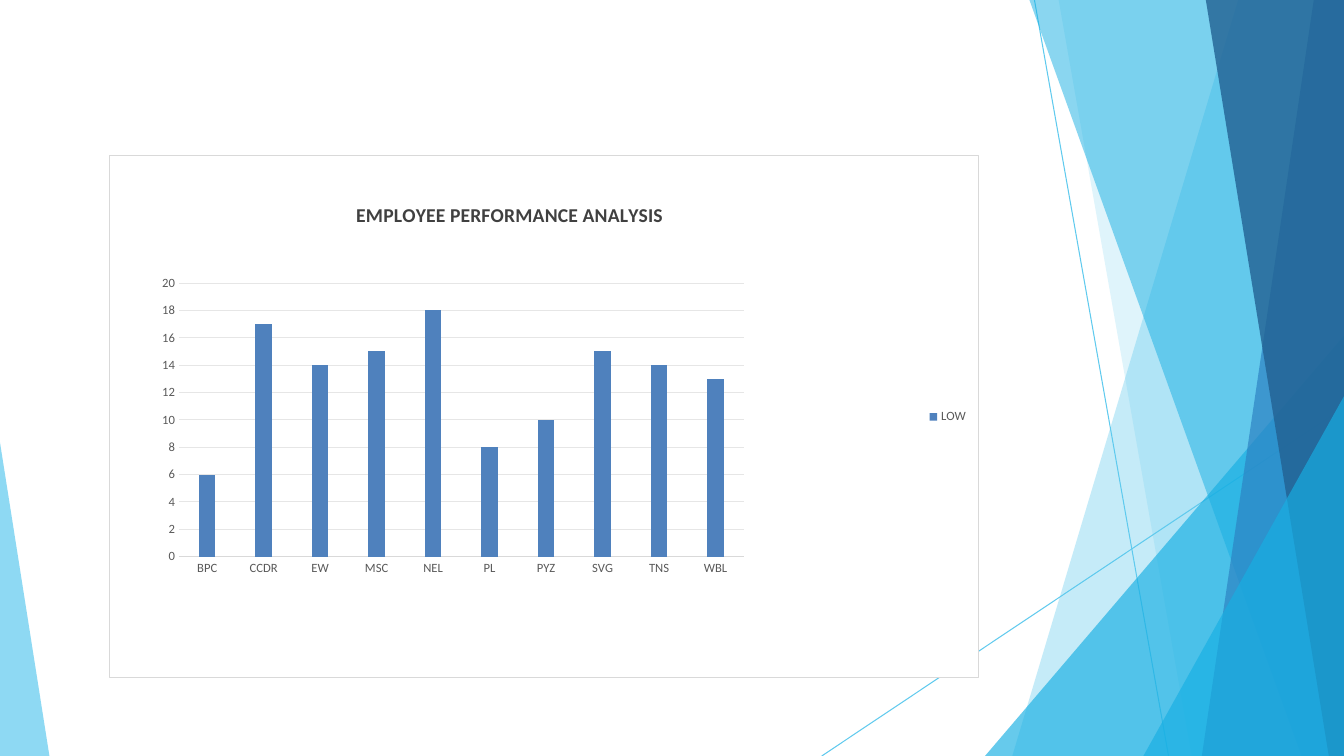
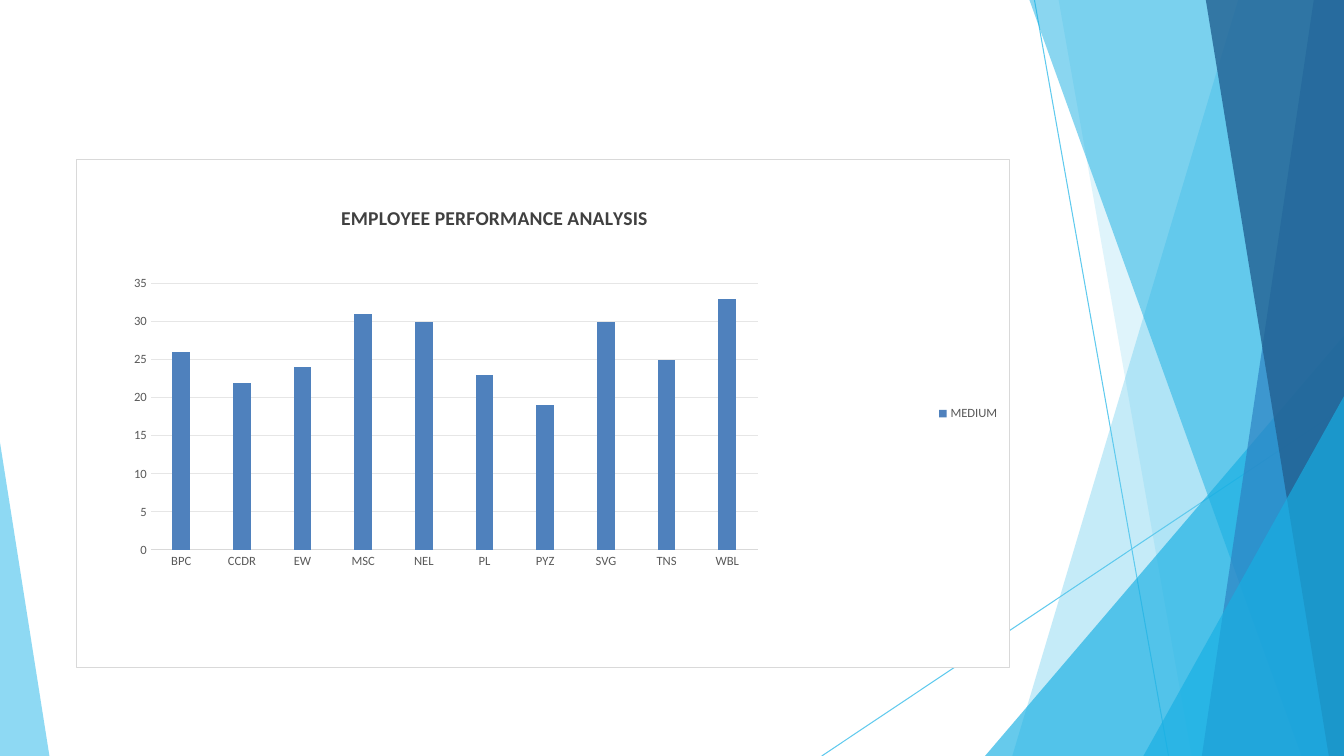
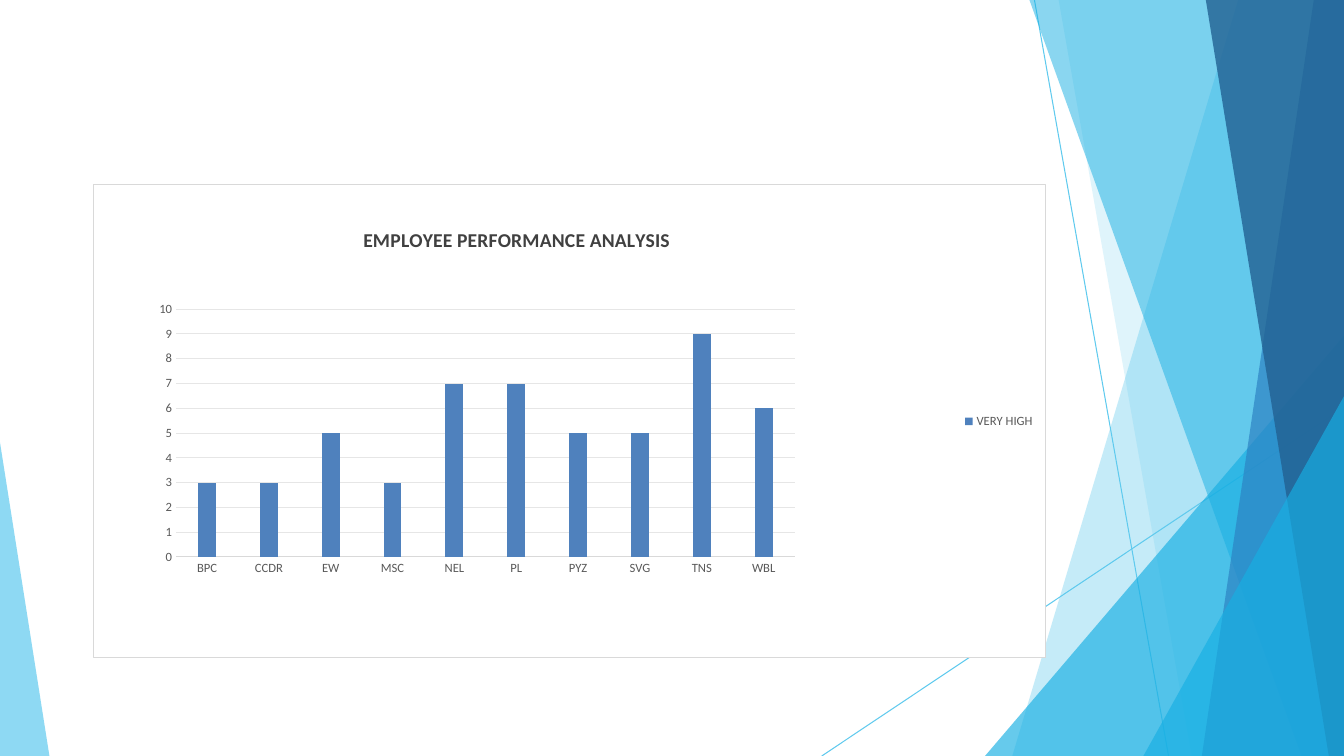
from lxml import etree
from pptx import Presentation
from pptx.chart.data import CategoryChartData
from pptx.dml.color import RGBColor
from pptx.enum import chart as kinds, shapes
from pptx.oxml import ns
from pptx.util import Inches, Pt

WIDTH, HEIGHT = 13.33, 7.5
FONT = "Calibri"
COLOURS = {
    "sky": "5FCAEE", "cyan": "17AFE3", "blue": "2D83C3", "navy": "226192",
    "bar": "4F81BD", "white": "FFFFFF", "frame": "D9D9D9", "grid": "E6E6E6",
    "label": "595959", "title": "404040", "black": "000000",
}
HEADING = "EMPLOYEE PERFORMANCE ANALYSIS"
UNITS = ["BPC", "CCDR", "EW", "MSC", "NEL", "PL", "PYZ", "SVG", "TNS", "WBL"]

# Background lines: start and end
RAYS = [((10.26, 0), (11.59, HEIGHT)), ((WIDTH, 4.04), (8.15, HEIGHT))]

# Background facets: colour, opacity in percent, corners
TOP_RIGHT, BOTTOM_RIGHT = (WIDTH, 0), (WIDTH, HEIGHT)
FACETS = [
    ("sky", 36, [TOP_RIGHT, (12.28, 0), (10.04, HEIGHT), BOTTOM_RIGHT]),
    ("sky", 20, [TOP_RIGHT, (10.5, 0), (11.82, HEIGHT), BOTTOM_RIGHT]),
    ("cyan", 66, [(WIDTH, 3.33), (9.77, HEIGHT), BOTTOM_RIGHT]),
    ("cyan", 50, [TOP_RIGHT, (10.21, 0), (12.91, HEIGHT), BOTTOM_RIGHT]),
    ("blue", 70, [TOP_RIGHT, (13.03, 0), (11.92, HEIGHT), BOTTOM_RIGHT]),
    ("navy", 80, [TOP_RIGHT, (11.96, 0), (13.18, HEIGHT), BOTTOM_RIGHT]),
    ("cyan", 66, [(WIDTH, 3.93), (11.34, HEIGHT), BOTTOM_RIGHT]),
    ("sky", 70, [(0, 4.39), (0, HEIGHT), (0.49, HEIGHT)]),
]

# Charts: series, values, frame (left, top, width, height), plot corner
CHARTS = [
    ("LOW", [6, 17, 14, 15, 18, 8, 10, 15, 14, 13],
     (1.08, 1.54, 8.63, 5.19), (0.08, 0.244)),
    ("MEDIUM", [26, 22, 24, 31, 30, 23, 19, 30, 25, 33],
     (0.75, 1.58, 9.27, 5.05), (0.08, 0.244)),
    ("VERY HIGH", [3, 3, 5, 3, 7, 7, 5, 5, 9, 6],
     (0.92, 1.83, 9.45, 4.7), (0.087, 0.263)),
]
PLOT_SIZE = (0.65, 0.524)
TITLE_CORNER = (0.28, 0.08)


def set_font(font, size, colour, bold=False):
    font.name, font.size, font.bold = FONT, Pt(size), bold
    font.color.rgb = RGBColor.from_string(COLOURS[colour])


def place(part, **settings):
    """Give a chart part a manual layout, as fractions of the chart."""
    layout = part.find(ns.qn("c:layout"))
    if layout is None:
        layout = etree.Element(ns.qn("c:layout"))
        part.insert(0, layout)
    manual = etree.SubElement(layout, ns.qn("c:manualLayout"))
    for name, value in settings.items():
        etree.SubElement(manual, ns.qn(f"c:{name}")).set("val", str(value))


deck = Presentation()
deck.slide_width, deck.slide_height = Inches(WIDTH), Inches(HEIGHT)
backdrop = deck.slide_layouts[6]
for holder in list(backdrop.placeholders):
    holder.element.getparent().remove(holder.element)
pages = [deck.slides.add_slide(backdrop) for _ in CHARTS]

# Shared background: drawn on a page, then moved to the layout
canvas = pages[0].shapes
for start, end in RAYS:
    ray = canvas.add_connector(
        shapes.MSO_CONNECTOR.STRAIGHT, *map(Inches, start + end))
    ray.line.color.rgb = RGBColor.from_string(COLOURS["sky"])
    ray.line.width = Pt(0.75)
    etree.SubElement(ray.element.spPr, ns.qn("a:effectLst"))

for colour, opacity, corners in FACETS:
    points = [(Inches(x), Inches(y)) for x, y in corners]
    outline = canvas.build_freeform(*points[0])
    outline.add_line_segments(points[1:], close=True)
    facet = outline.convert_to_shape()
    facet.shadow.inherit = False
    facet.line.fill.background()
    facet.fill.solid()
    facet.fill.fore_color.rgb = RGBColor.from_string(COLOURS[colour])
    paint = facet.element.spPr.find(".//" + ns.qn("a:srgbClr"))
    etree.SubElement(paint, ns.qn("a:alpha")).set("val", str(opacity * 1000))

for item in list(canvas):
    backdrop.shapes.element.append(item.element)

for page, (series_name, values, frame, plot_corner) in zip(pages, CHARTS):
    data = CategoryChartData()
    data.categories = UNITS
    data.add_series(series_name, values)
    chart = page.shapes.add_chart(
        kinds.XL_CHART_TYPE.COLUMN_CLUSTERED, *map(Inches, frame), data).chart
    set_font(chart.font, 10, "black")

    chart.has_title = True
    span = chart.chart_title.text_frame.paragraphs[0].add_run()
    span.text = HEADING
    set_font(span.font, 14, "title", bold=True)

    chart.has_legend = True
    chart.legend.position = kinds.XL_LEGEND_POSITION.RIGHT
    chart.legend.include_in_layout = False
    set_font(chart.legend.font, 9, "label")

    bars = chart.plots[0]
    bars.vary_by_categories = False
    bars.gap_width, bars.overlap = 246, -28
    fill = bars.series[0].format.fill
    fill.solid()
    fill.fore_color.rgb = RGBColor.from_string(COLOURS["bar"])

    for axis in (chart.category_axis, chart.value_axis):
        axis.major_tick_mark = axis.minor_tick_mark = kinds.XL_TICK_MARK.NONE
        set_font(axis.tick_labels.font, 9, "label")
    chart.value_axis.format.line.fill.background()
    chart.value_axis.has_major_gridlines = True
    for line, colour in ((chart.category_axis.format.line, "frame"),
                         (chart.value_axis.major_gridlines.format.line, "grid")):
        line.color.rgb = RGBColor.from_string(COLOURS[colour])
        line.width = Pt(0.75)

    body = chart.element.find(ns.qn("c:chart"))
    place(body.find(ns.qn("c:title")), xMode="edge", yMode="edge",
          x=TITLE_CORNER[0], y=TITLE_CORNER[1])
    place(body.find(ns.qn("c:plotArea")), layoutTarget="inner",
          xMode="edge", yMode="edge", x=plot_corner[0], y=plot_corner[1],
          w=PLOT_SIZE[0], h=PLOT_SIZE[1])

    # Chart frame: white fill and thin grey border
    style = etree.Element(ns.qn("c:spPr"))
    border = etree.Element(ns.qn("a:ln"), w=str(Pt(0.75)))
    for parent, colour in ((style, "white"), (border, "frame")):
        solid = etree.SubElement(parent, ns.qn("a:solidFill"))
        etree.SubElement(solid, ns.qn("a:srgbClr")).set("val", COLOURS[colour])
    style.append(border)
    body.addnext(style)

deck.save("out.pptx")
